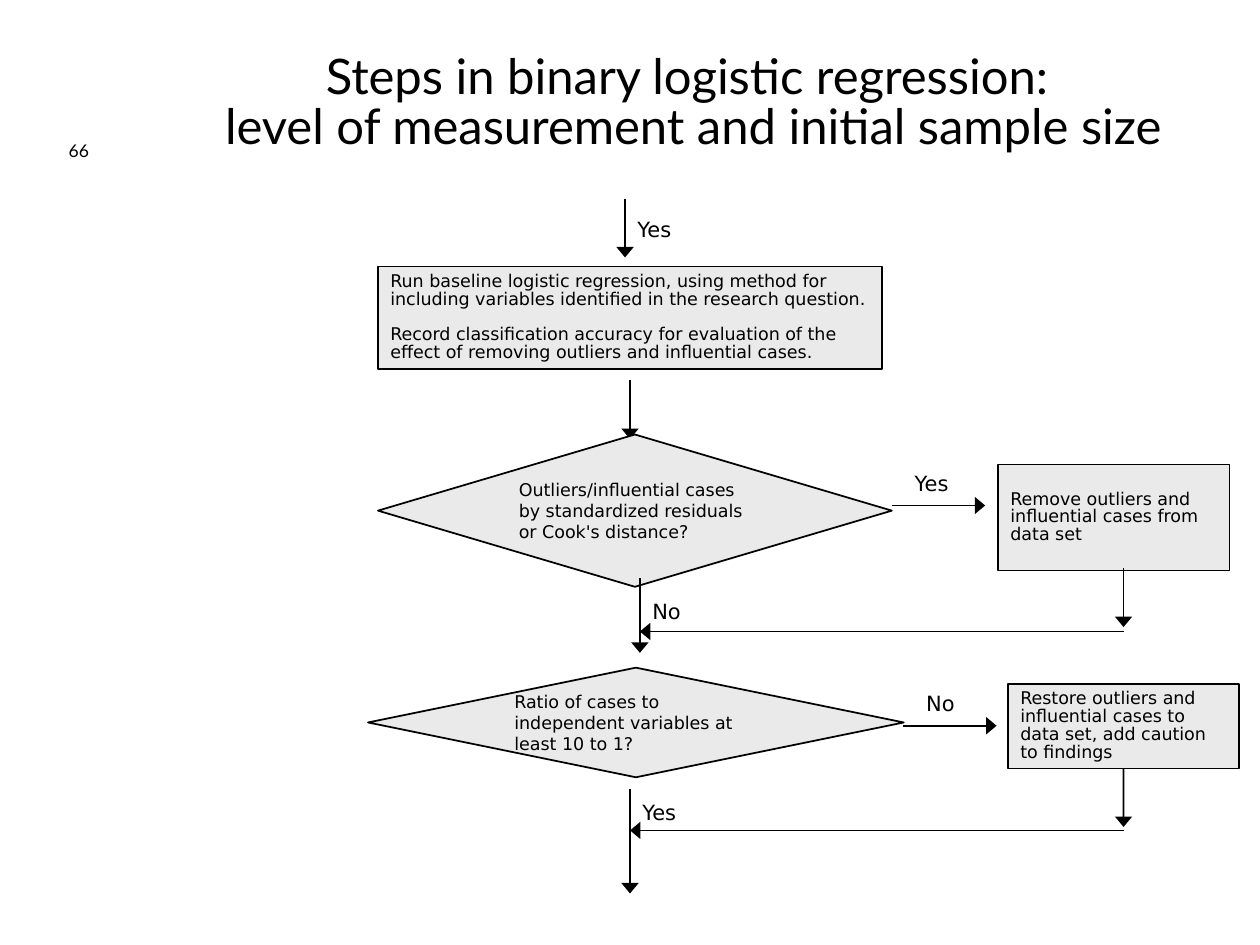
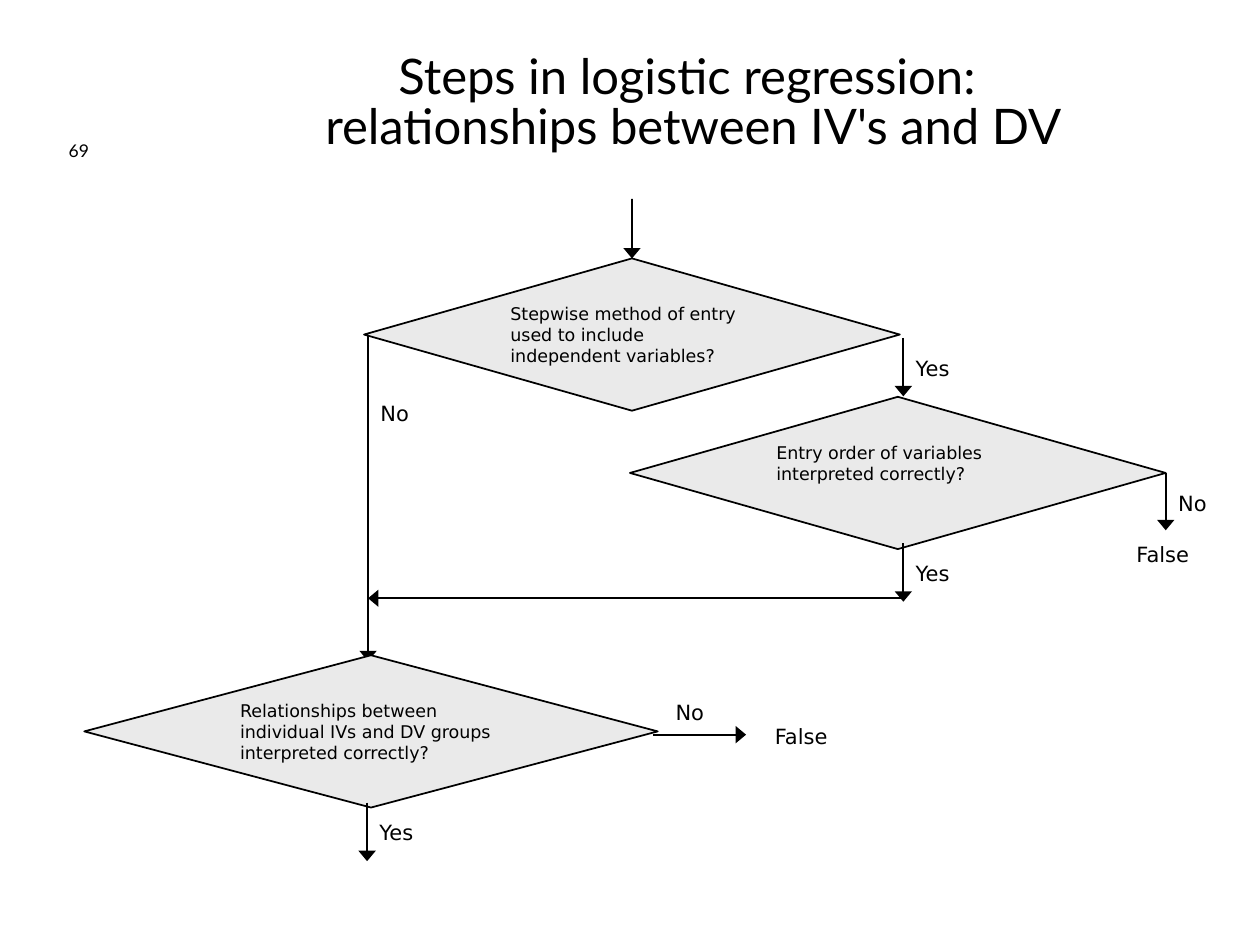
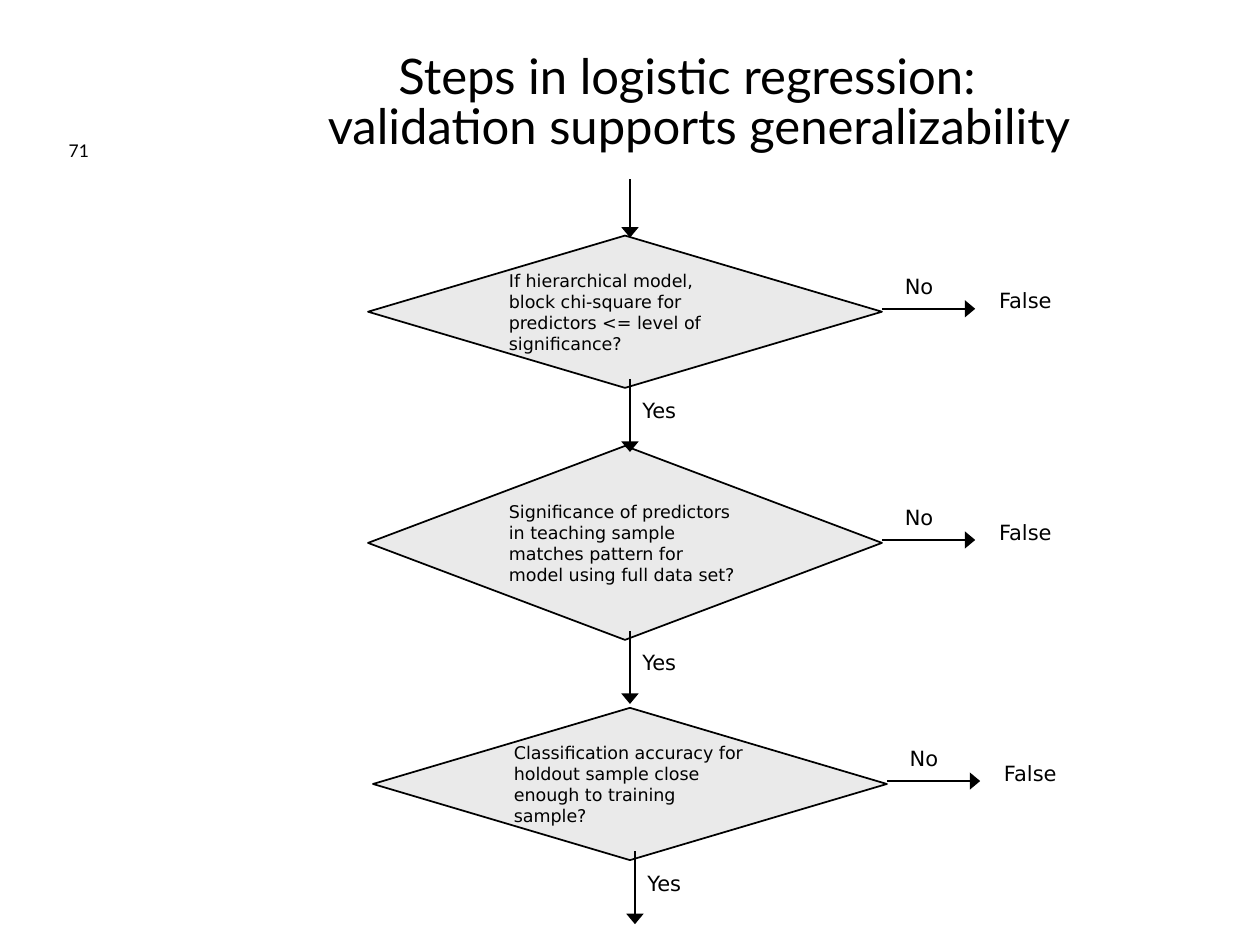
from dataclasses import dataclass
from typing import Any

from lxml import etree
from pptx import Presentation
from pptx.dml.color import RGBColor
from pptx.enum.shapes import MSO_CONNECTOR as Link, MSO_SHAPE as Kind
from pptx.enum.text import MSO_ANCHOR as Anchor, MSO_AUTO_SIZE as Fit, PP_ALIGN as Align
from pptx.oxml.ns import qn
from pptx.util import Cm, Pt

BLACK = RGBColor(0x00, 0x00, 0x00)
GREY = RGBColor(0xEA, 0xEA, 0xEA)
SANS = "DejaVu Sans"
HEAD = "Lato"
TIGHT = 0.85
TOP, LEFT, BOTTOM, RIGHT = range(4)

HEAD_FONT = {"name": HEAD, "size": Pt(28)}
NUM_FONT = {"name": HEAD, "size": Pt(10)}
NODE_FONT = {"name": SANS, "size": Pt(10)}
TAG_FONT = {"name": SANS, "size": Pt(12)}
FRAME = {
    "word_wrap": True, "auto_size": Fit.NONE,
    "margin_left": Cm(0.25), "margin_right": Cm(0.25),
    "margin_top": Cm(0.13), "margin_bottom": Cm(0.13),
}


def apply(obj, values):
    for name, value in values.items():
        setattr(obj, name, value)


def write(shape, lines, font, anchor=Anchor.TOP, align=Align.LEFT, ls=1.0, gap=0):
    """Fill a shape with paragraphs; gap is the space in points between them."""
    frame = shape.text_frame
    apply(frame, FRAME)
    frame.vertical_anchor = anchor
    for i, line in enumerate(lines):
        par = frame.paragraphs[0] if i == 0 else frame.add_paragraph()
        par.text = line
        apply(par, {"alignment": align, "line_spacing": ls,
                    "space_before": Pt(gap if i else 0)})
        apply(par.font, font)
        par.font.color.rgb = BLACK


@dataclass
class Pane:
    """A region of a slide; all positions are in cm from its corner."""
    slide: Any
    left: float = 1.7
    top: float = 3.6

    def at(self, x, y):
        return Cm(self.left + x), Cm(self.top + y)

    def node(self, kind, box, lines, width, ls):
        x, y, w, h = box
        shape = self.slide.shapes.add_shape(kind, *self.at(x, y), Cm(w), Cm(h))
        shape.shadow.inherit = False
        shape.fill.solid()
        shape.fill.fore_color.rgb = GREY
        shape.line.color.rgb = BLACK
        shape.line.width = Pt(width)
        write(shape, lines, NODE_FONT, Anchor.MIDDLE, ls=ls, gap=10)
        return shape

    def task(self, box, *lines):
        return self.node(Kind.RECTANGLE, box, lines, 0.75, TIGHT)

    def test(self, box, text):
        return self.node(Kind.FLOWCHART_DECISION, box, [text], 1, 1.0)

    def tag(self, x, y, text, w=1.3):
        box = self.slide.shapes.add_textbox(*self.at(x, y), Cm(w), Cm(0.76))
        write(box, [text], TAG_FONT)

    def arrow(self, x1, y1, x2, y2):
        line = self.slide.shapes.add_connector(
            Link.STRAIGHT, *self.at(x1, y1), *self.at(x2, y2))
        line.line.color.rgb = BLACK
        line.line.width = Pt(1)
        props = line.element.spPr
        etree.SubElement(props.find(qn("a:ln")), qn("a:tailEnd"),
                         type="triangle", w="lg", len="med")
        etree.SubElement(props, qn("a:effectLst"))
        return line

    def down(self, x, y, size=1.18, text=None, gap=0.22):
        """Arrow down, with its answer to the right."""
        line = self.arrow(x, y, x, y + size)
        if text:
            self.tag(x, y + gap, text)
        return line

    def across(self, x, y, text):
        """Arrow to the right, with its answer above."""
        self.arrow(x, y, x + 1.88, y)
        self.tag(x + 0.21, y - 0.84, text)


def sample_flow(pane):
    side = 20.95
    pane.down(10.9, 0.41, text="Yes")
    pane.task((5.92, 1.78, 12.8 - 2.64, 2.06),
              "Run baseline logistic regression, using method for including "
              "variables identified in the research question.",
              "Record classification accuracy for evaluation of the effect of "
              "removing outliers and influential cases.")
    pane.down(11, 4.07)
    pane.test((5.92, 5.16, 10.36, 3.07),
              "Outliers/influential cases by standardized residuals or Cook's distance?")
    pane.down(11.2, 8.06, 1.5, "No", 0.28)
    pane.across(16.28, 6.59, "Yes")
    pane.arrow(side, 9.13, 11.2, 9.13)
    pane.test((5.72, 9.86, 10.8, 2.21),
              "Ratio of cases to independent variables at least 10 to 1?")
    pane.across(16.51, 11.03, "No")
    pane.down(11, 12.3, 2.11, "Yes", 0.08)
    pane.task((18.42, 5.77, 4.66, 2.13),
              "Remove outliers and influential cases from data set")
    pane.down(side, 7.86)
    restore = pane.task((18.62, 10.19, 4.66, 1.7),
                        "Restore outliers and influential cases to data set, "
                        "add caution to findings")
    pane.arrow(side, 13.14, 11, 13.14)
    pane.down(side, 11.89).begin_connect(restore, BOTTOM)


def link_flow(pane):
    step = pane.test((5.64, 1.61, 10.8, 3.07),
                     "Stepwise method of entry used to include independent variables?")
    pane.down(11.04, 0.41, 1.2).end_connect(step, TOP)
    pane.down(16.51, 3.21, text="Yes")
    pane.down(5.72, 3.18, 6.55, "No", 1.17)
    entry = pane.test((11, 4.4, 10.8, 3.07),
                      "Entry order of variables interpreted correctly?")
    entry.text_frame.margin_bottom = Cm(0.55)
    pane.down(16.51, 7.35, text="Yes")
    pane.down(21.8, 5.94, 1.15, "No").begin_connect(entry, RIGHT)
    pane.tag(20.96, 7.19, "False", 1.8)
    pane.arrow(16.51, 8.46, 5.72, 8.46)
    pane.test((0, 9.61, 11.56, 3.07),
              "Relationships between individual IVs and DV groups interpreted correctly?")
    pane.across(11.46, 11.21, "No")
    pane.tag(13.67, 10.85, "False", 1.8)
    pane.down(5.7, 12.58, text="Yes")


def check_flow(pane):
    width = 10.36
    checks = [
        (5.72, 1.15, 3.07, "If hierarchical model, block chi-square for predictors "
                           "<= level of significance?"),
        (5.72, 5.39, 3.91, "Significance of predictors in teaching sample matches "
                           "pattern for model using full data set?"),
        (5.82, 10.67, 3.07, "Classification accuracy for holdout sample close enough "
                            "to training sample?"),
    ]
    pane.down(11, 0.01)
    for x, y, h, text in checks:
        pane.test((x, y, width, h), text)
    for x, y, h, _ in checks:
        edge, mid = x + width, y + h / 2 - 0.06
        pane.across(edge, mid, "No")
        pane.tag(edge + 2.11, mid - 0.55, "False", 2)
        pane.down(x + width / 2 + 0.1, y + h - 0.18, 1.47, "Yes", 0.25)


def header(slide, title, number):
    """Set the title and the page number in the top band."""
    y, h = Cm(0.84), Cm(2.54)
    head = slide.shapes.title
    apply(head, {"left": Cm(3.18), "top": y, "width": Cm(21.59), "height": h})
    write(head, [title], HEAD_FONT, Anchor.MIDDLE, Align.CENTER, TIGHT)
    box = slide.shapes.add_textbox(0, y, Cm(3.18), h)
    write(box, [number], NUM_FONT, Anchor.BOTTOM, Align.CENTER)


def main():
    deck = Presentation()
    apply(deck, {"slide_width": Cm(25.4), "slide_height": Cm(19.05)})
    pages = [
        ("Steps in binary logistic regression: \v"
         "level of measurement and initial sample size", "66", sample_flow),
        ("Steps in logistic regression: \vrelationships between IV's and DV",
         "69", link_flow),
        ("Steps in logistic regression: \v validation supports generalizability",
         "71", check_flow),
    ]
    for title, number, flow in pages:
        slide = deck.slides.add_slide(deck.slide_layouts[5])
        header(slide, title, number)
        flow(Pane(slide))
    deck.save("out.pptx")


if __name__ == "__main__":
    main()
